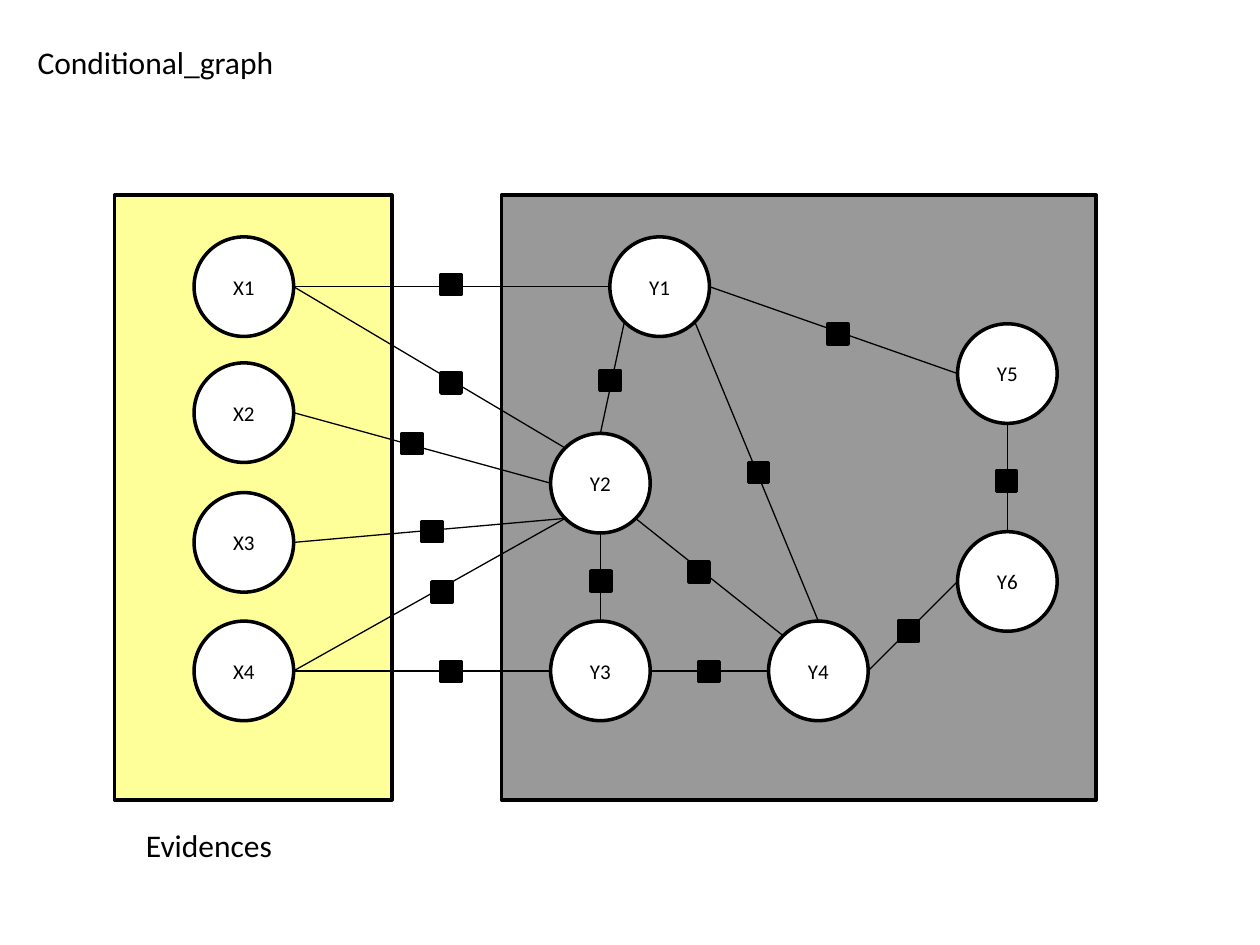
"""Build a slide showing a conditional graph of evidence nodes X and output nodes Y."""
from math import cos, radians, sin

from lxml.etree import SubElement
from pptx import Presentation
from pptx.dml.color import RGBColor
from pptx.enum.shapes import MSO_CONNECTOR, MSO_SHAPE
from pptx.enum.text import MSO_ANCHOR, MSO_AUTO_SIZE, PP_ALIGN
from pptx.oxml.ns import qn
from pptx.util import Inches, Pt

THEME = {
    "ink": RGBColor(0, 0, 0),
    "node": RGBColor(255, 255, 255),
    "evidence": RGBColor(255, 255, 0),
    "panel_alpha": "40000",
    "font": "Calibri",
    "label_size": Pt(18),
    "node_size": Pt(12),
    "outline": Pt(2),
    "edge": Pt(0.75),
}
NODE = 0.79
FACTOR = 0.16
ANGLES = {"right": 0, "lower right": 45, "bottom": 90, "lower left": 135,
          "left": 180, "upper left": 225, "top": 270}


def add_outlined(shapes, preset, left, top, width, height, color):
    shape = shapes.add_shape(preset, Inches(left), Inches(top), Inches(width), Inches(height))
    shape.shadow.inherit = False
    shape.fill.solid()
    shape.fill.fore_color.rgb = color
    shape.line.color.rgb = THEME["ink"]
    shape.line.width = THEME["outline"]
    return shape


def write(paragraph, text, size):
    run = paragraph.add_run()
    run.text = text
    run.font.name = THEME["font"]
    run.font.size = size
    run.font.color.rgb = THEME["ink"]


prs = Presentation()
prs.slide_width, prs.slide_height = Inches(10), Inches(7.5)
slide = prs.slides.add_slide(prs.slide_layouts[6])

for left, width, color in [(3.98, 4.72, THEME["ink"]), (0.91, 2.2, THEME["evidence"])]:
    panel = add_outlined(slide.shapes, MSO_SHAPE.RECTANGLE, left, 1.55, width, 4.8, color)
    fill_color = panel.fill._xPr.find(qn("a:solidFill"))[0]
    SubElement(fill_color, qn("a:alpha"), val=THEME["panel_alpha"])

nodes = {
    "X1": (1.54, 1.88), "X2": (1.54, 2.88), "X3": (1.54, 3.91), "X4": (1.54, 4.93),
    "Y1": (4.84, 1.88), "Y2": (4.37, 3.44), "Y3": (4.37, 4.93),
    "Y4": (6.1, 4.93), "Y5": (7.6, 2.57), "Y6": (7.6, 4.22),
}
for name, (left, top) in nodes.items():
    node = add_outlined(slide.shapes, MSO_SHAPE.OVAL, left, top, NODE, NODE, THEME["node"])
    node.text_frame.vertical_anchor = MSO_ANCHOR.MIDDLE
    node.text_frame.paragraphs[0].alignment = PP_ALIGN.CENTER
    write(node.text_frame.paragraphs[0], name, THEME["node_size"])

for text, left, top, width, wrap in [("Conditional_graph", 0.2, 0.29, 2.1, False),
                                     ("Evidences", 1.06, 6.51, 1.87, True)]:
    label = slide.shapes.add_textbox(Inches(left), Inches(top), Inches(width), Inches(0.4))
    label.text_frame.word_wrap = wrap
    label.text_frame.auto_size = MSO_AUTO_SIZE.SHAPE_TO_FIT_TEXT
    write(label.text_frame.paragraphs[0], text, THEME["label_size"])

edges = [
    ("X1", "right", "Y1", "left", 3.5, 2.18),
    ("X1", "right", "Y2", "upper left", 3.5, 2.96),
    ("X2", "right", "Y2", "left", 3.19, 3.44),
    ("X3", "right", "Y2", "lower left", 3.35, 4.14),
    ("X4", "right", "Y2", "lower left", 3.43, 4.62),
    ("X4", "right", "Y3", "left", 3.5, 5.25),
    ("Y1", "right", "Y5", "left", 6.57, 2.57),
    ("Y1", "lower left", "Y2", "top", 4.76, 2.94),
    ("Y2", "bottom", "Y3", "top", 4.69, 4.53),
    ("Y3", "right", "Y4", "left", 5.55, 5.25),
    ("Y5", "bottom", "Y6", "top", 7.91, 3.74),
    ("Y6", "left", "Y4", "right", 7.13, 4.93),
    ("Y1", "lower right", "Y4", "top", 5.94, 3.67),
    ("Y2", "lower right", "Y4", "upper left", 5.47, 4.46),
]
for start, start_side, end, end_side, left, top in edges:
    group = slide.shapes.add_group_shape()
    add_outlined(group.shapes, MSO_SHAPE.RECTANGLE, left, top, FACTOR, FACTOR, THEME["ink"])
    points = []
    for name, side in [(start, start_side), (end, end_side)]:
        angle = radians(ANGLES[side])
        node_left, node_top = nodes[name]
        points += [Inches(node_left + NODE / 2 * (1 + cos(angle))),
                   Inches(node_top + NODE / 2 * (1 + sin(angle)))]
    edge = group.shapes.add_connector(MSO_CONNECTOR.STRAIGHT, *points)
    edge.line.color.rgb = THEME["ink"]
    edge.line.width = THEME["edge"]
    SubElement(edge._element.spPr, qn("a:effectLst"))

prs.save("out.pptx")
